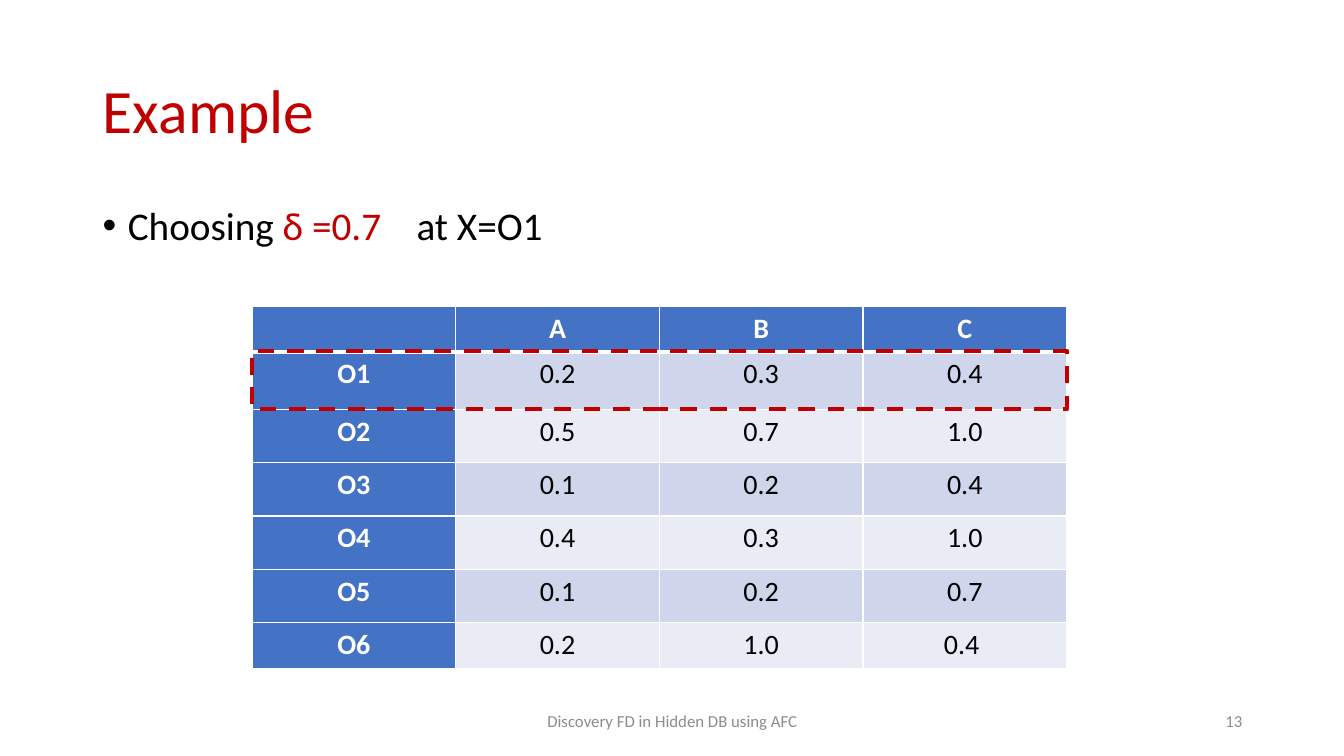
import pptx
import pptx.util
import pptx.dml.color
import pptx.enum.dml
import pptx.enum.shapes
import pptx.enum.text
import pptx.oxml
import pptx.oxml.ns

Inches = pptx.util.Inches
Pt = pptx.util.Pt
RGBColor = pptx.dml.color.RGBColor
ALIGN = pptx.enum.text.PP_ALIGN
ANCHOR = pptx.enum.text.MSO_ANCHOR

RED = RGBColor(0xC0, 0x00, 0x00)
BLACK = RGBColor(0x00, 0x00, 0x00)
WHITE = RGBColor(0xFF, 0xFF, 0xFF)
GREY = RGBColor(0x8C, 0x8C, 0x8C)
BLUE = RGBColor(0x44, 0x72, 0xC4)
BANDS = [RGBColor(0xE9, 0xEB, 0xF5), RGBColor(0xCF, 0xD5, 0xEA)]

ROWS = [
    ["", "A", "B", "C"],
    ["O1", "0.2", "0.3", "0.4"],
    ["O2", "0.5", "0.7", "1.0"],
    ["O3", "0.1", "0.2", "0.4"],
    ["O4", "0.4", "0.3", "1.0"],
    ["O5", "0.1", "0.2", "0.7"],
    ["O6", "0.2", "1.0", "0.4 "],
]
ROW_HEIGHTS = [0.45, 0.57, 0.53, 0.53, 0.53, 0.53, 0.45]


def style_run(r, size, color, bold=False):
    r.font.name = "Calibri"
    r.font.size = Pt(size)
    r.font.bold = bold
    r.font.color.rgb = color


def add_title(s, x, y, w, h):
    sp = s.shapes.title
    sp.left, sp.top, sp.width, sp.height = map(Inches, (x, y, w, h))
    tf = sp.text_frame
    tf.text = "Example"
    tf.auto_size = pptx.enum.text.MSO_AUTO_SIZE.NONE
    tf.vertical_anchor = ANCHOR.MIDDLE
    p = tf.paragraphs[0]
    p.alignment = ALIGN.LEFT
    p.line_spacing = 0.9
    style_run(p.runs[0], 44, RED)


def add_bullet(s, x, y, w, h):
    tf = s.shapes.add_textbox(*map(Inches, (x, y, w, h))).text_frame
    tf.word_wrap = True
    p = tf.paragraphs[0]
    p.line_spacing = 0.9
    p.space_before = Pt(10)
    for text, color in [("Choosing ", BLACK), ("δ =0.7", RED), (" ", RED), ("at X=O1", BLACK)]:
        r = p.add_run()
        r.text = text
        style_run(r, 28, color)
    # Widen the gap before the last phrase
    p.runs[2].font._element.set("spc", "1900")
    # Bullet with a hanging indent
    pPr = p._p.get_or_add_pPr()
    pPr.set("marL", str(Inches(0.25)))
    pPr.set("indent", str(Inches(-0.25)))
    for tag, attr, value in [("buFont", "typeface", "Arial"), ("buChar", "char", "•")]:
        pptx.oxml.ns.qn("a:" + tag)
        pPr.append(pptx.oxml.parse_xml(
            f'<a:{tag} {pptx.oxml.ns.nsdecls("a")} {attr}="{value}"/>'))


def set_borders(cell, bottom):
    tcPr = cell._tc.get_or_add_tcPr()
    sides = [("lnL", 1), ("lnR", 1), ("lnT", 1), ("lnB", bottom)]
    for i, (side, width) in enumerate(sides):
        tcPr.insert(i, pptx.oxml.parse_xml(
            f'<a:{side} {pptx.oxml.ns.nsdecls("a")} w="{Pt(width)}">'
            f'<a:solidFill><a:srgbClr val="{WHITE}"/></a:solidFill></a:{side}>'))


def add_data_table(s, x, y, w, h):
    box = map(Inches, (x, y, w, h))
    table = s.shapes.add_table(len(ROWS), len(ROWS[0]), *box).table
    table.first_col = True
    for col in table.columns:
        col.width = Inches(w / len(ROWS[0]))
    for i, values in enumerate(ROWS):
        table.rows[i].height = Inches(ROW_HEIGHTS[i])
        for j, value in enumerate(values):
            head = i == 0 or j == 0
            cell = table.cell(i, j)
            cell.fill.solid()
            cell.fill.fore_color.rgb = BLUE if head else BANDS[i % 2]
            set_borders(cell, 3 if i == 0 else 1)
            cell.margin_left = cell.margin_right = Inches(0.07)
            cell.margin_top = cell.margin_bottom = 0
            cell.text_frame.text = value
            p = cell.text_frame.paragraphs[0]
            p.alignment = ALIGN.CENTER
            p.line_spacing = 1.15
            for r in p.runs:
                style_run(r, 20, WHITE if head else BLACK, head)


def add_row_highlight(s, x, y, w, h):
    box = map(Inches, (x, y, w, h))
    sp = s.shapes.add_shape(pptx.enum.shapes.MSO_SHAPE.RECTANGLE, *box)
    sp.shadow.inherit = False
    sp.fill.background()
    sp.line.color.rgb = RED
    sp.line.width = Pt(3)
    sp.line.dash_style = pptx.enum.dml.MSO_LINE.DASH


def add_footer(s, text, align, x, y, w, h):
    tf = s.shapes.add_textbox(*map(Inches, (x, y, w, h))).text_frame
    tf.word_wrap = True
    tf.vertical_anchor = ANCHOR.MIDDLE
    tf.text = text
    p = tf.paragraphs[0]
    p.alignment = align
    style_run(p.runs[0], 12, GREY)


def main():
    prs = pptx.Presentation()
    prs.slide_width = Inches(13.33)
    prs.slide_height = Inches(7.5)
    s = prs.slides.add_slide(prs.slide_layouts[5])
    # Title and statement
    add_title(s, 0.92, 0.4, 11.5, 1.45)
    add_bullet(s, 0.92, 2, 11.5, 4.76)
    # Table with the chosen row outlined
    add_data_table(s, 2.5, 3.04, 8.08, sum(ROW_HEIGHTS))
    add_row_highlight(s, 2.5, 3.48, 8.08, 0.58)
    # Footer and slide number
    add_footer(s, "Discovery FD in Hidden DB using AFC", ALIGN.CENTER, 4.42, 6.95, 4.5, 0.4)
    add_footer(s, "13", ALIGN.RIGHT, 9.42, 6.95, 3, 0.4)
    prs.save("out.pptx")


if __name__ == "__main__":
    main()
